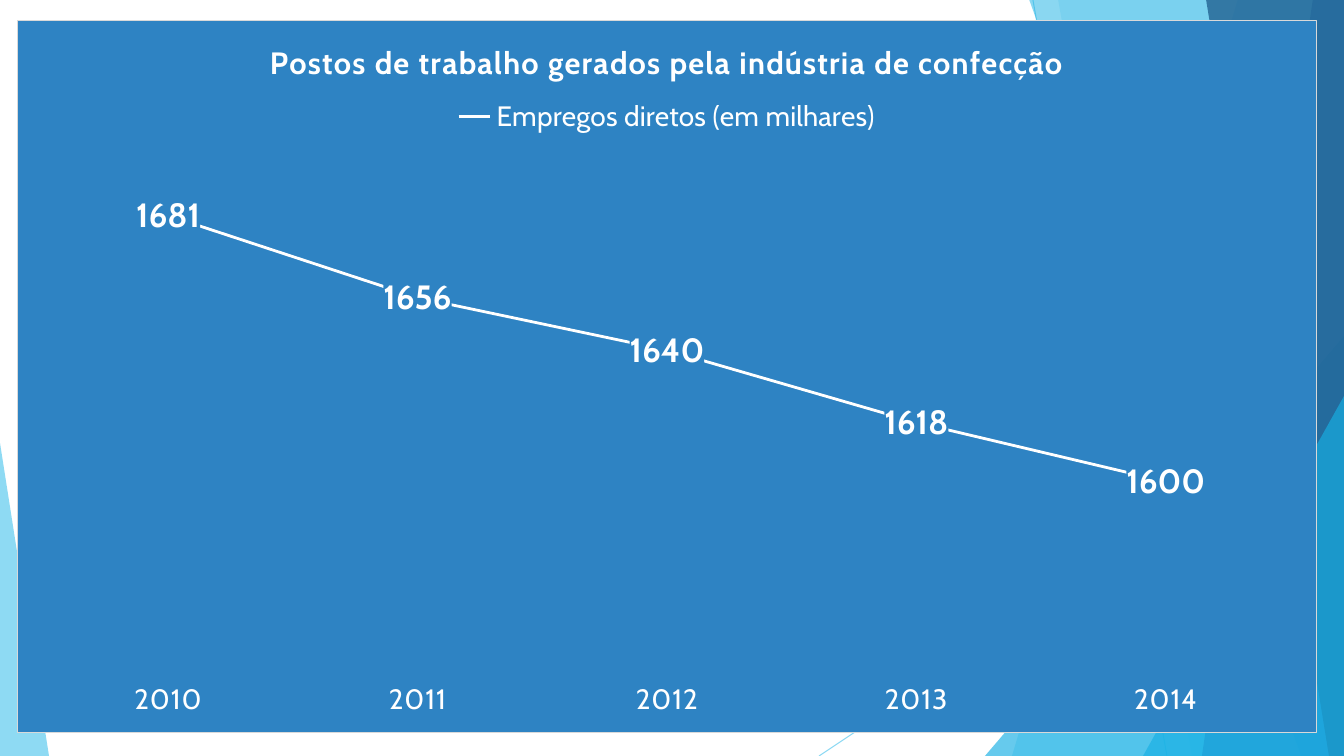
from lxml import etree
from pptx import Presentation
from pptx import util as u
from pptx.chart.data import CategoryChartData
from pptx.dml.color import RGBColor
from pptx.enum import chart as ch
from pptx.enum import shapes
from pptx.oxml import parse_xml
from pptx.oxml.ns import nsdecls, qn

PX = 914400 / 100.8
WHITE = RGBColor(0xFF, 0xFF, 0xFF)
SKY = RGBColor(0x5F, 0xCB, 0xEF)
CYAN = RGBColor(0x17, 0xB0, 0xE4)
BLUE = RGBColor(0x2E, 0x83, 0xC3)
NAVY = RGBColor(0x22, 0x62, 0x92)
GREY = RGBColor(0xD9, 0xD9, 0xD9)
FONT = "Cabin"
WIDE, HIGH = 1344, 756
LEFT, TOP, SPAN, TALL = 17, 20, 1300, 713


def fade(shape, alpha):
    for tint in shape._element.spPr.iter(qn("a:srgbClr")):
        etree.SubElement(tint, qn("a:alpha")).set("val", str(alpha * 1000))


def place(part, index, **spots):
    for old in part.findall(qn("c:layout")):
        part.remove(old)
    layout = parse_xml(f"<c:layout {nsdecls('c')}><c:manualLayout/></c:layout>")
    for name, value in spots.items():
        etree.SubElement(layout[0], qn(f"c:{name}")).set("val", str(value))
    part.insert(index, layout)


prs = Presentation()
prs.slide_width = u.Emu(round(WIDE * PX))
prs.slide_height = u.Emu(round(HIGH * PX))
slide = prs.slides.add_slide(prs.slide_layouts[6])

for ends in [(1033, 0, 1167, HIGH), (WIDE, 406, 819, HIGH)]:
    line = slide.shapes.add_connector(
        shapes.MSO_CONNECTOR.STRAIGHT, *[round(v * PX) for v in ends])
    line.line.color.rgb = SKY
    line.line.width = u.Pt(0.75)
    fade(line, 70)
    etree.SubElement(line._element.spPr, qn("a:effectLst"))

facets = [
    ((1238, 1012), SKY, 36),
    ((1058, 1192), SKY, 20),
    ((985, 336, 359, 420, 1), CYAN, 66),
    ((1029, 1301), CYAN, 50),
    ((1313, 1202), BLUE, 70),
    ((1206, 1329), NAVY, 80),
    ((1143, 396, 201, 360, 1), CYAN, 66),
    ((0, 443, 49, 313, 0), SKY, 70),
]
for form, color, alpha in facets:
    if len(form) == 2:
        top, base = form
        pen = slide.shapes.build_freeform(top, -1, scale=PX)
        pen.add_line_segments([(WIDE, -1), (WIDE, HIGH), (base, HIGH)])
        facet = pen.convert_to_shape()
    else:
        *box, peak = form
        facet = slide.shapes.add_shape(
            shapes.MSO_SHAPE.ISOSCELES_TRIANGLE, *[round(v * PX) for v in box])
        facet.adjustments[0] = peak
    facet.shadow.inherit = False
    facet.fill.solid()
    facet.fill.fore_color.rgb = color
    facet.line.fill.background()
    fade(facet, alpha)

data = CategoryChartData()
data.categories = ["2010", "2011", "2012", "2013", "2014"]
data.add_series("Empregos diretos (em milhares)", [1681, 1656, 1640, 1618, 1600])
frame = [round(v * PX) for v in (LEFT, TOP, SPAN, TALL)]
chart = slide.shapes.add_chart(ch.XL_CHART_TYPE.LINE, *frame, data).chart
chart.font.name = FONT
chart.font.size = u.Pt(10)

chart.has_title = True
head = chart.chart_title.text_frame.paragraphs[0].add_run()
head.text = "Postos de trabalho gerados pela indústria de confecção"
head.font.bold = True
head._r.get_or_add_rPr().set("spc", "100")

chart.has_legend = True
chart.legend.position = ch.XL_LEGEND_POSITION.TOP
chart.legend.include_in_layout = False

years = chart.category_axis
years.major_tick_mark = ch.XL_TICK_MARK.NONE
years.format.line.fill.background()
jobs = chart.value_axis
jobs.minimum_scale = 1540
jobs.maximum_scale = 1700
jobs.has_major_gridlines = False
jobs.visible = False

trend = chart.plots[0].series[0]
trend.smooth = False
trend.marker.style = ch.XL_MARKER_STYLE.NONE
trend.format.line.color.rgb = WHITE
trend.format.line.width = u.Pt(2)
chart.plots[0].vary_by_categories = False
tags = trend.data_labels
tags.show_value = True
tags.position = ch.XL_LABEL_POSITION.CENTER
tags.font.bold = True

fonts = [(head.font, 22), (chart.legend.font, 20),
         (years.tick_labels.font, 20), (tags.font, 24)]
for font, size in fonts:
    font.name = FONT
    font.size = u.Pt(size)
    font.color.rgb = WHITE
for props in years._element.iter(qn("a:defRPr")):
    props.set("spc", "50")

root = chart._chartSpace.chart
place(root.plotArea, 0, layoutTarget="inner", xMode="edge", yMode="edge",
      x=0.02, y=133 / TALL, w=0.96, h=526 / TALL)
place(chart.chart_title._element, 1, xMode="edge", yMode="edge",
      x=0.19, y=15 / TALL)
place(chart.legend._element, 1, xMode="edge", yMode="edge",
      x=0.33, y=0.1, w=0.34, h=0.07)

paint = f'<a:solidFill><a:srgbClr val="{BLUE}"/></a:solidFill>'
edge = (f'<a:ln w="{u.Pt(0.75)}"><a:solidFill><a:srgbClr val="{GREY}"/>'
        "</a:solidFill></a:ln>")
root.addnext(parse_xml(f"<c:spPr {nsdecls('c', 'a')}>{paint}{edge}</c:spPr>"))
tags._element.find(qn("c:txPr")).addprevious(parse_xml(
    f"<c:spPr {nsdecls('c', 'a')}>{paint}<a:ln><a:noFill/></a:ln></c:spPr>"))

prs.save("out.pptx")
